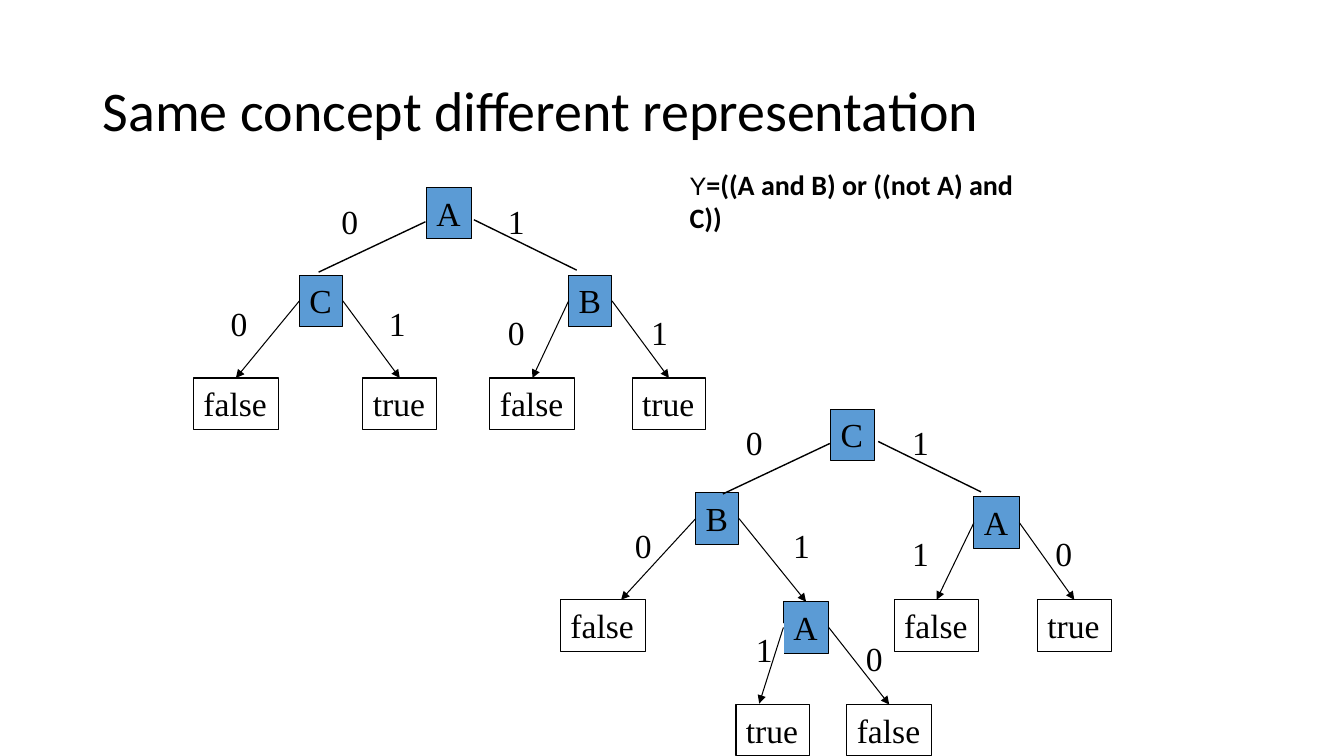
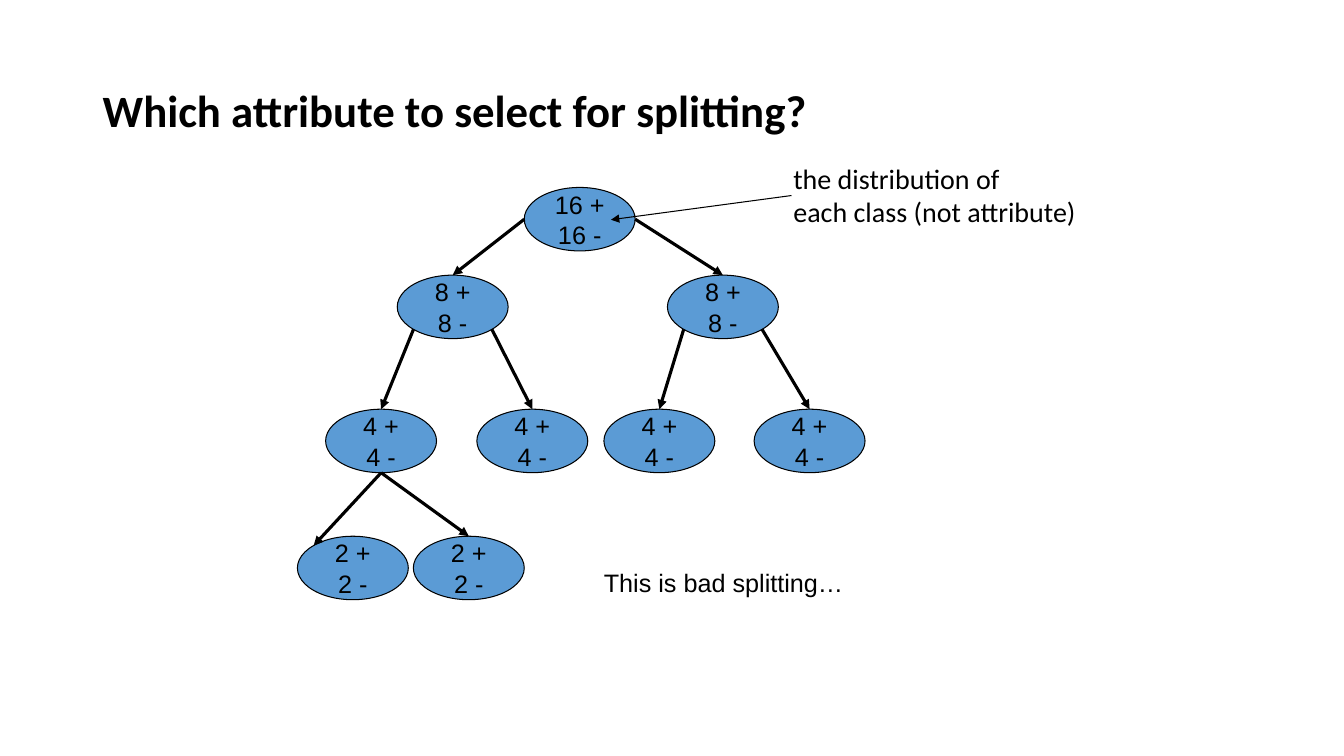
from math import cos, radians, sin
from typing import NamedTuple

from lxml.etree import SubElement
from pptx import Presentation
from pptx.dml.color import RGBColor as Rgb
from pptx.enum.shapes import MSO_CONNECTOR as Wire, MSO_SHAPE as Form
from pptx.enum.text import MSO_ANCHOR as Anchor, PP_ALIGN as Align
from pptx.oxml.ns import qn
from pptx.util import Inches, Pt

BLUE, BLACK, WHITE = "5B9BD5", "000000", "FFFFFF"
SANS, SERIF, PLAIN = "Calibri", "Times New Roman", "Arial"
HIGH = 0.51
WIDE = {"A": 0.45, "B": 0.43, "C": 0.43, "false": 0.84, "true": 0.73}
SHIFT = (4.01, 2.2)


class Face(NamedTuple):
    name: str
    size: int
    bold: bool = False


class Node(NamedTuple):
    key: str
    text: str
    left: float
    top: float


class Mark(NamedTuple):
    text: str
    left: float
    top: float


class Edge(NamedTuple):
    start: str
    out: int
    stop: str
    into: int


class Ray(NamedTuple):
    start: str
    out: int
    x: float
    y: float


TREE = Face(SERIF, 24)
COUNT = Face(PLAIN, 18)
NOTE = Face(SANS, 20)

FIRST = [
    Node("root", "A", 4.23, 1.86),
    Node("low", "C", 2.97, 2.73),
    Node("high", "B", 5.64, 2.73),
    Node("low0", "false", 1.92, 3.75),
    Node("low1", "true", 3.6, 3.75),
    Node("high0", "false", 4.86, 3.75),
    Node("high1", "true", 6.27, 3.75),
]
SECOND = [
    Node("root", "C", 8.24, 4.06),
    Node("low", "B", 6.9, 4.89),
    Node("high", "A", 9.66, 4.93),
    Node("low0", "false", 5.56, 5.95),
    Node("low1", "A", 7.77, 5.97),
    Node("high0", "false", 8.87, 5.95),
    Node("high1", "true", 10.29, 5.95),
    Node("deep1", "true", 7.3, 6.99),
    Node("deep0", "false", 8.4, 6.99),
]
SPOTS = [(3.28, 1.94), (4.93, 1.94), (2.18, 2.96),
         (3.75, 2.96), (4.93, 3.04), (6.35, 3.04)]
BOUGHS = [((4.22, 2.2), (3.16, 2.7)), ((4.7, 2.18), (5.72, 2.68))]
SHARED = [
    Edge("low", 3, "low1", 0),
    Edge("high", 1, "high0", 0),
    Edge("high", 3, "high1", 0),
]

OVALS = [
    Node("root", "16", 5.2, 1.86),
    Node("left", "8", 3.94, 2.73),
    Node("right", "8", 6.62, 2.73),
    Node("left0", "4", 3.23, 4.06),
    Node("left1", "4", 4.73, 4.06),
    Node("right0", "4", 5.99, 4.06),
    Node("right1", "4", 7.48, 4.06),
    Node("leaf0", "2", 2.95, 5.32),
    Node("leaf1", "2", 4.1, 5.32),
]
SPLITS = [
    Edge("root", 2, "left", 0),
    Edge("root", 6, "right", 0),
    Edge("left", 3, "left0", 0),
    Edge("left", 5, "left1", 0),
    Edge("right", 3, "right0", 0),
    Edge("right", 5, "right1", 0),
    Edge("left0", 4, "leaf0", 1),
    Edge("left0", 4, "leaf1", 0),
]


def hue(code: str) -> Rgb:
    return Rgb.from_string(code)


def style(run, face: Face) -> None:
    font = run.font
    font.name, font.size, font.bold = face.name, Pt(face.size), face.bold
    font.color.rgb = hue(BLACK)


def write(shape, text: str, face: Face, align=Align.LEFT,
          anchor=Anchor.TOP, wrap: bool = False) -> None:
    frame = shape.text_frame
    frame.text = text
    frame.word_wrap = wrap
    frame.vertical_anchor = anchor
    for para in frame.paragraphs:
        para.alignment = align
        for run in para.runs:
            style(run, face)


def label(slide, text: str, area: tuple, face: Face, **look):
    box = slide.shapes.add_textbox(*map(Inches, area))
    write(box, text, face, **look)
    return box


def block(slide, form, area: tuple, fill: str | None):
    shape = slide.shapes.add_shape(form, *map(Inches, area))
    shape.shadow.inherit = False
    if fill:
        shape.fill.solid()
        shape.fill.fore_color.rgb = hue(fill)
    else:
        shape.fill.background()
    shape.line.color.rgb = hue(BLACK)
    shape.line.width = Pt(0.75)
    return shape


def site(shape, index: int) -> tuple:
    step = 45 if shape.auto_shape_type == Form.OVAL else 90
    turn = radians(90 + step * index)
    x = shape.left + shape.width / 2 * (1 + cos(turn))
    y = shape.top + shape.height / 2 * (1 - sin(turn))
    return x / Inches(1), y / Inches(1)


def wire(slide, start: tuple, stop: tuple, width: float, arrow: bool = True):
    line = slide.shapes.add_connector(
        Wire.STRAIGHT, *map(Inches, (*start, *stop)))
    line.line.color.rgb = hue(BLACK)
    line.line.width = Pt(width)
    if arrow:
        SubElement(line.line._get_or_add_ln(), qn("a:tailEnd"), type="triangle")
    SubElement(line._element.spPr, qn("a:effectLst"))
    return line


def link(slide, shapes: dict, edge: Edge, width: float) -> None:
    start, stop = shapes[edge.start], shapes[edge.stop]
    line = wire(slide, site(start, edge.out), site(stop, edge.into), width)
    if start.auto_shape_type == Form.OVAL:
        hold = line._element.find(".//" + qn("p:cNvCxnSpPr"))
        for tag, shape, index in (("a:stCxn", start, edge.out),
                                  ("a:endCxn", stop, edge.into)):
            SubElement(hold, qn(tag), id=str(shape.shape_id), idx=str(index))
    else:
        line.begin_connect(start, edge.out)
        line.end_connect(stop, edge.into)


def tree(slide, nodes: list[Node], marks: list[Mark], edges: list[Edge],
         rays: list[Ray], boughs: list[tuple]) -> None:
    shapes = {}
    for node in nodes:
        area = (node.left, node.top, WIDE[node.text], HIGH)
        fill = BLUE if len(node.text) == 1 else None
        shapes[node.key] = block(slide, Form.RECTANGLE, area, fill)
        write(shapes[node.key], node.text, TREE)
    for mark in marks:
        box = label(slide, mark.text, (mark.left, mark.top, 0.38, HIGH),
                    TREE, align=Align.CENTER)
        box.line.color.rgb = hue(WHITE)
        box.line.width = Pt(1)
    for start, stop in boughs:
        wire(slide, start, stop, 1, arrow=False)
    for edge in edges:
        link(slide, shapes, edge, 0.75)
    for ray in rays:
        shape = shapes[ray.start]
        line = wire(slide, site(shape, ray.out), (ray.x, ray.y), 0.75)
        line.begin_connect(shape, ray.out)


def move(spot: tuple) -> tuple:
    return tuple(a + b for a, b in zip(spot, SHIFT))


def page(deck, title: str, face: Face):
    slide = deck.slides.add_slide(deck.slide_layouts[6])
    box = label(slide, title, (0.92, 0.4, 11.5, 1.45), face,
                anchor=Anchor.MIDDLE, wrap=True)
    box.text_frame.paragraphs[0].line_spacing = 0.9
    return slide


def concept(deck) -> None:
    slide = page(deck, "Same concept different representation", Face(SANS, 40))
    marks = [Mark(t, *s) for t, s in zip("010101", SPOTS)]
    tree(slide, FIRST, marks, SHARED + [Edge("low", 1, "low0", 0)], [], BOUGHS)
    marks = [Mark(t, *move(s)) for t, s in zip("010110", SPOTS)]
    marks += [Mark("0", 8.48, 6.28), Mark("1", 7.39, 6.19)]
    rays = [Ray("low", 1, 6.16, 5.95), Ray("low1", 1, 7.53, 6.98)]
    boughs = [(move(a), move(b)) for a, b in BOUGHS]
    tree(slide, SECOND, marks, SHARED + [Edge("low1", 3, "deep0", 0)],
         rays, boughs)
    box = label(slide, "Y", (6.74, 1.61, 3.79, 0.43), COUNT)
    run = box.text_frame.paragraphs[0].add_run()
    run.text = "=((A and B) or ((not A) and C))"
    style(run, Face(SANS, 20, True))


def split(deck) -> None:
    slide = page(deck, "Which attribute to select for splitting?",
                 Face(SANS, 32, True))
    shapes = {}
    for node in OVALS:
        oval = block(slide, Form.OVAL, (node.left, node.top, 1.1, 0.63), BLUE)
        write(oval, f"{node.text} +\n{node.text} -", COUNT,
              align=Align.CENTER, anchor=Anchor.MIDDLE)
        shapes[node.key] = oval
    for edge in SPLITS:
        link(slide, shapes, edge, 2.25)
    label(slide, "This is bad splitting…", (5.89, 5.58, 2.58, 0.4), COUNT)
    wire(slide, (7.85, 1.94), (6.06, 2.18), 0.75)
    label(slide, "the distribution of\neach class (not attribute)",
          (7.77, 1.55, 3.02, 0.77), NOTE)


def main() -> None:
    deck = Presentation()
    deck.slide_width, deck.slide_height = Inches(13.33), Inches(7.5)
    concept(deck)
    split(deck)
    deck.save("out.pptx")


if __name__ == "__main__":
    main()
